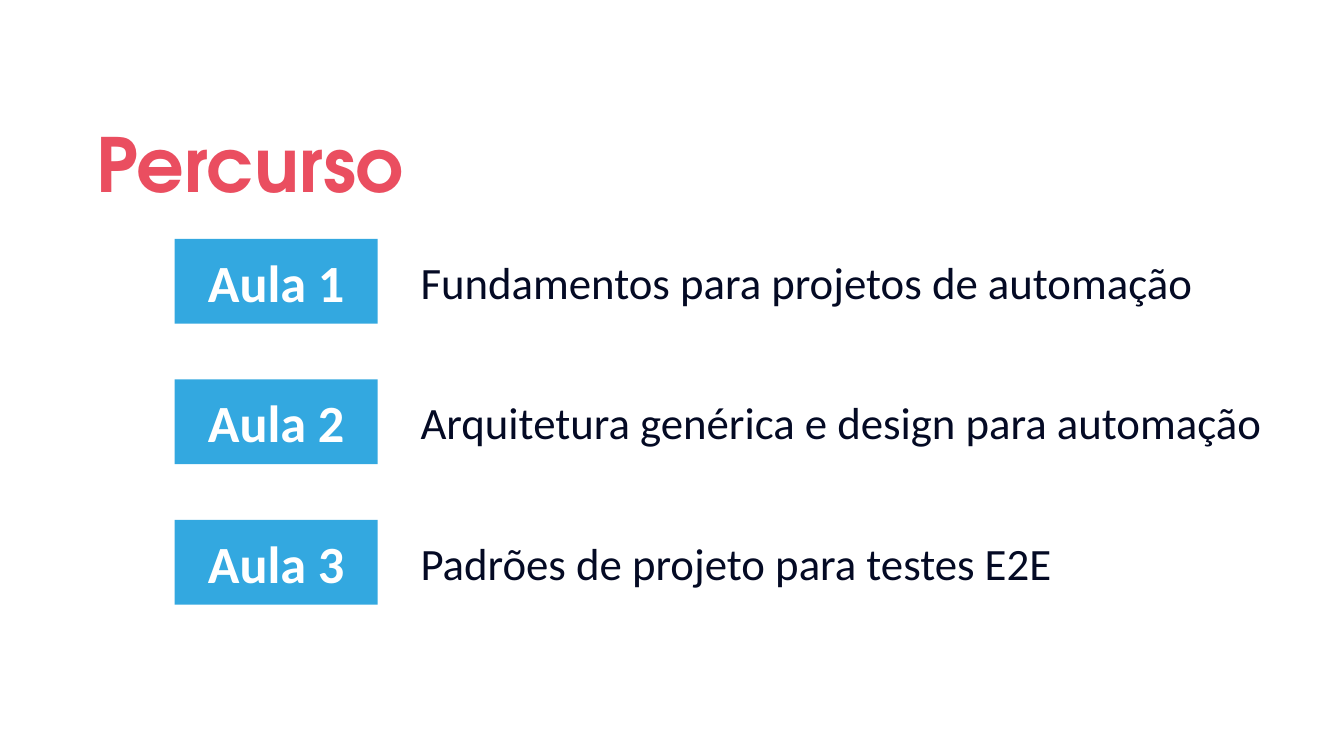
from pptx import Presentation
from pptx.dml.color import RGBColor
from pptx.enum.shapes import MSO_SHAPE as Shape
from pptx.enum.text import MSO_ANCHOR as Anchor, PP_ALIGN as Align
from pptx.util import Pt

CORAL = RGBColor(0xEA, 0x4E, 0x60)
BLUE = RGBColor(0x33, 0xA8, 0xE0)
WHITE = RGBColor(0xFF, 0xFF, 0xFF)
NAVY = RGBColor(0x04, 0x0A, 0x24)

TITLE = "Percurso"
LESSONS = [
    ("Aula 1", "Fundamentos para projetos de automação", 433.5),
    ("Aula 2", "Arquitetura genérica e design para automação", 484),
    ("Aula 3", "Padrões de projeto para testes E2E", 484),
]

TITLE_FONT = {"name": "TeX Gyre Adventor", "size": Pt(40), "bold": True}
LABEL_FONT = {"name": "Calibri", "size": Pt(28), "bold": True}
TOPIC_FONT = {"name": "Calibri", "size": Pt(24), "bold": False}

TITLE_PARA = {"line_spacing": 1.15}
LABEL_PARA = {"alignment": Align.CENTER, "level": 1}
TOPIC_PARA = {"alignment": Align.LEFT}

LABEL_LEFT, LABEL_WIDTH, LABEL_HEIGHT = 93.6, 108.7, 45.4
TOPIC_LEFT, TOPIC_HEIGHT = 218.2, 36
FIRST_TOP, ROW_PITCH = 128, 75.3
HANGING = 36


def set_all(target, values):
    for name, value in values.items():
        setattr(target, name, value)


def write(box, text, font, color, para_format, anchor, inset, hanging=0):
    frame = box.text_frame
    set_all(frame, {
        "word_wrap": True, "vertical_anchor": anchor,
        "margin_left": Pt(7.2), "margin_right": Pt(7.2),
        "margin_top": Pt(inset), "margin_bottom": Pt(inset),
    })
    para = frame.paragraphs[0]
    set_all(para, para_format)
    properties = para._p.get_or_add_pPr()
    properties.set("marL", str(Pt(hanging)))
    properties.set("indent", str(-Pt(hanging)))
    span = para.add_run()
    span.text = text
    set_all(span.font, font)
    span.font.color.rgb = color


deck = Presentation()
set_all(deck, {"slide_width": Pt(720), "slide_height": Pt(405)})
page = deck.slides.add_slide(deck.slide_layouts[6])

title = page.shapes.add_textbox(Pt(44.6), Pt(50.4), Pt(583.2), Pt(66.2))
write(title, TITLE, TITLE_FONT, CORAL, TITLE_PARA, Anchor.MIDDLE, 7.2)

for row, (lesson, subject, width) in enumerate(LESSONS):
    top = FIRST_TOP + row * ROW_PITCH
    label = page.shapes.add_shape(
        Shape.RECTANGLE, Pt(LABEL_LEFT), Pt(top), Pt(LABEL_WIDTH), Pt(LABEL_HEIGHT))
    label.shadow.inherit = False
    label.fill.solid()
    label.fill.fore_color.rgb = BLUE
    label.line.fill.background()
    write(label, lesson, LABEL_FONT, WHITE, LABEL_PARA, Anchor.MIDDLE, 7.2)

    topic_top = top + (LABEL_HEIGHT - TOPIC_HEIGHT) / 2
    topic = page.shapes.add_textbox(
        Pt(TOPIC_LEFT), Pt(topic_top), Pt(width), Pt(TOPIC_HEIGHT))
    write(topic, subject, TOPIC_FONT, NAVY, TOPIC_PARA, Anchor.TOP, 3.6, HANGING)

deck.save("out.pptx")
